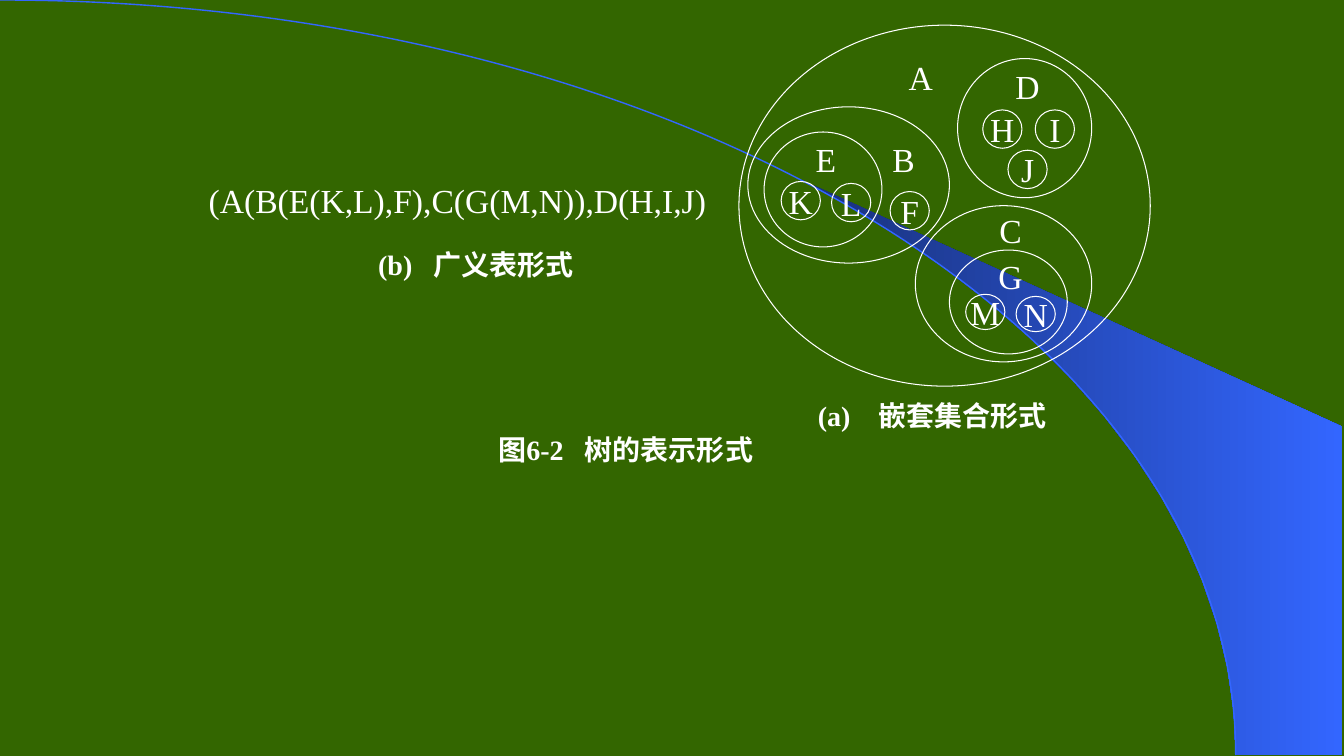
from math import asin, cos, pi, sin

from pptx import Presentation
from pptx.dml.color import RGBColor
from pptx.enum.shapes import MSO_SHAPE
from pptx.enum.text import MSO_ANCHOR as ANCHOR, PP_ALIGN as ALIGN
from pptx.oxml.ns import qn
from pptx.util import Pt

WHITE, BLUE, NAVY, GREEN = "FFFFFF", "3366FF", "182F76", "336600"
CENTER, LEFT = ALIGN.CENTER, ALIGN.LEFT


def rgb(code):
    """Turn a hex string into a colour."""
    return RGBColor.from_string(code)


def write(sp, text, size, align=CENTER, bold=False, inset=0, wrap=False):
    """Put one line of white text in the middle of a shape."""
    tf = sp.text_frame
    frame = dict(word_wrap=wrap, vertical_anchor=ANCHOR.MIDDLE,
                 margin_left=Pt(inset), margin_right=Pt(inset),
                 margin_top=Pt(inset / 2), margin_bottom=Pt(inset / 2))
    for name, value in frame.items():
        setattr(tf, name, value)
    p = tf.paragraphs[0]
    p.alignment = align
    r = p.add_run()
    r.text = text
    for name, value in dict(size=Pt(size), bold=bold, name="Times New Roman").items():
        setattr(r.font, name, value)
    r.font.color.rgb = rgb(WHITE)
    east_asian = r.font._element.makeelement(qn("a:ea"), {"typeface": "Noto Sans CJK SC"})
    r.font._element.find(qn("a:latin")).addnext(east_asian)


prs = Presentation()
prs.slide_width, prs.slide_height = Pt(960), Pt(540)
s = prs.slides.add_slide(prs.slide_layouts[6])
s.background.fill.solid()
s.background.fill.fore_color.rgb = rgb(GREEN)

# Swoosh whose lower edge lies on a quarter-ellipse arc
ARC_W, ARC_H, STEPS = 882.7, 539.3, 15
SWOOSH_LEFT, SWOOSH_RIGHT, SWOOSH_TOP = 566, 958.3, 304.6
start = asin(SWOOSH_LEFT / ARC_W)
angles = [start + (pi / 2 - start) * i / STEPS for i in range(STEPS + 1)]
points = [(Pt(ARC_W * sin(a)), Pt(ARC_H * (1 - cos(a)))) for a in angles]
points += [(Pt(SWOOSH_RIGHT), Pt(ARC_H)), (Pt(SWOOSH_RIGHT), Pt(SWOOSH_TOP))]
builder = s.shapes.build_freeform(*points[0], scale=1.0)
builder.add_line_segments(points[1:], close=True)
swoosh = builder.convert_to_shape()
swoosh.shadow.inherit = False
swoosh.line.fill.background()
swoosh.fill.gradient()
swoosh.fill.gradient_angle = 0
for stop, (position, code) in zip(swoosh.fill.gradient_stops, ((0, NAVY), (1, BLUE))):
    stop.position = position
    stop.color.rgb = rgb(code)

# The arc: its straight segment becomes one Bezier curve
builder = s.shapes.build_freeform(0, 0, scale=1.0)
builder.add_line_segments([(Pt(ARC_W), Pt(ARC_H))], close=False)
arc = builder.convert_to_shape()
arc.shadow.inherit = False
arc.fill.background()
arc.line.color.rgb = rgb(BLUE)
arc.line.width = Pt(1)
segment = next(arc._element.iter(qn("a:lnTo")))
curve = segment.makeelement(qn("a:cubicBezTo"), {})
for x, y in ((487.5, 0), (ARC_W, 241.4), (ARC_W, ARC_H)):
    point = {"x": str(int(Pt(x))), "y": str(int(Pt(y)))}
    curve.append(curve.makeelement(qn("a:pt"), point))
segment.getparent().replace(segment, curve)

# Captions and generalized list: text, left, top, width, height, format
caption = dict(size=20, bold=True, wrap=True)
texts = [
    ("图6-2\u2002 树的表示形式", 336, 306, 222, 30, caption),
    ("(a)\u2002\u2002嵌套集合形式", 570, 282, 192, 30, caption),
    ("(b)\u2002 广义表形式", 250, 174, 180, 30, caption),
    ("(A(B(E(K,L),F),C(G(M,N)),D(H,I,J)", 142, 126, 380, 34, dict(size=24, align=LEFT)),
]
for text, x, y, w, h, style in texts:
    sp = s.shapes.add_textbox(Pt(x), Pt(y), Pt(w), Pt(h))
    write(sp, text, inset=7.2, **style)

# Nested sets: left, top, width, height
sets = [
    (684, 41.8, 95.8, 99.4),     # D
    (545.8, 94.3, 84.2, 82.1),   # E
    (534.2, 76.3, 144, 111.6),   # B
    (678.2, 178.6, 84.2, 74.2),  # G
    (653.8, 146.9, 126, 111.6),  # C
    (527.8, 18, 293.8, 257.8),   # A
]
ovals = [("", *box) for box in sets]

# Letters: centre x, centre y, height
LETTER_W, TALL, LOW = 28, 27.4, 25.2
letters = {
    "H": (716, 92.2, TALL), "I": (753.5, 92.2, TALL), "J": (734, 121, TALL),
    "D": (734, 61.2, TALL), "F": (649.8, 150.5, TALL), "B": (645.5, 113.8, TALL),
    "K": (572, 143.3, TALL), "L": (608, 144.7, TALL), "E": (590, 113.8, TALL),
    "C": (721.8, 164.5, LOW), "M": (703.8, 222.8, LOW), "N": (739.8, 224.3, LOW),
    "G": (721.8, 196.9, LOW), "A": (657.7, 55.4, TALL),
}
ovals += [(name, cx - LETTER_W / 2, cy - h / 2, LETTER_W, h)
          for name, (cx, cy, h) in letters.items()]

SET_NAMES = set("ABCDEG")
for name, x, y, w, h in ovals:
    sp = s.shapes.add_shape(MSO_SHAPE.OVAL, Pt(x), Pt(y), Pt(w), Pt(h))
    sp.shadow.inherit = False
    sp.fill.background()
    if name in SET_NAMES:
        sp.line.fill.background()
    else:
        sp.line.color.rgb = rgb(WHITE)
        sp.line.width = Pt(0.75)
    if name:
        write(sp, name, 24)

prs.save("out.pptx")
